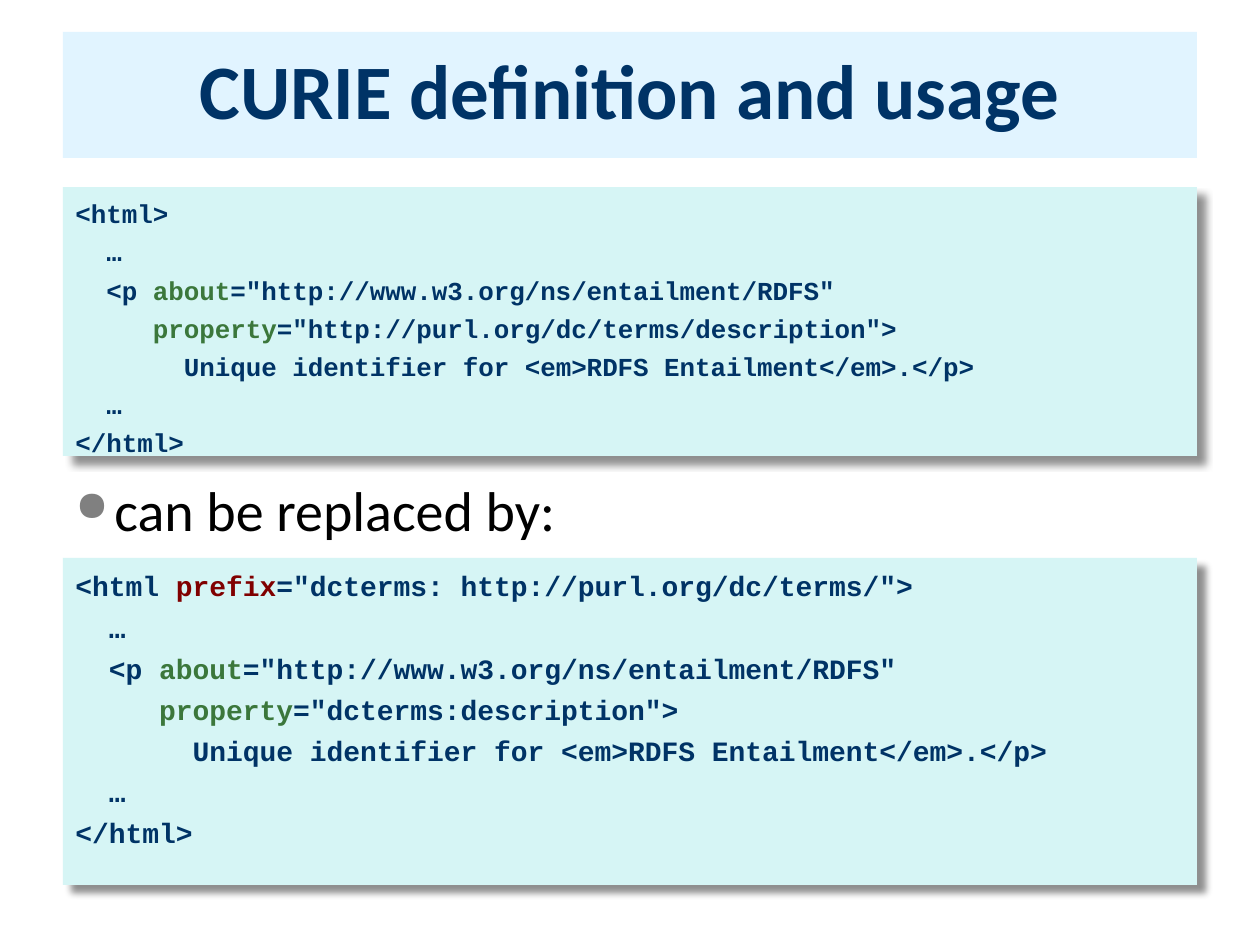
from lxml.etree import SubElement
from pptx import Presentation
from pptx.dml.color import RGBColor
from pptx.enum.shapes import MSO_SHAPE
from pptx.enum.text import MSO_ANCHOR, PP_ALIGN
from pptx.oxml.ns import qn
from pptx.util import Emu, Pt

SCALE = 914400 / 126
HUES = {
    "text": "000000", "navy": "003366", "sky": "E1F4FF", "mint": "D6F5F5",
    "bullet": "808080", "shadow": "000000",
    "about": "3B773B", "property": "3B773B", "prefix": "800000",
}
WORDS = ("about", "property", "prefix")


def px(num):
    return Emu(round(num * SCALE))


def paint(font, face, size, hue, bold=False):
    font.name = face
    font.size = Pt(size)
    font.bold = bold
    font.color.rgb = RGBColor.from_string(HUES[hue])


def panel(slide, box, hue):
    shape = slide.shapes.add_shape(MSO_SHAPE.RECTANGLE, *map(px, box))
    shape.shadow.inherit = False
    shape.fill.solid()
    shape.fill.fore_color.rgb = RGBColor.from_string(HUES[hue])
    shape.line.fill.background()
    return shape


def shade(shape):
    effects = shape.element.spPr.find(qn("a:effectLst"))
    outer = SubElement(effects, qn("a:outerShdw"), blurRad=str(Pt(4)),
                       dist=str(Pt(7)), dir="2700000", algn="tl", rotWithShape="0")
    color = SubElement(outer, qn("a:srgbClr"), val=HUES["shadow"])
    SubElement(color, qn("a:alpha"), val="43000")


def title(slide, box, text):
    frame = panel(slide, box, "sky").text_frame
    frame.word_wrap = True
    frame.vertical_anchor = MSO_ANCHOR.MIDDLE
    frame.text = text
    para = frame.paragraphs[0]
    para.alignment = PP_ALIGN.CENTER
    para.line_spacing = 0.9
    paint(para.runs[0].font, "Calibri", 44, "navy", True)


def split(line):
    for word in WORDS:
        if word + "=" in line:
            head, _, tail = line.partition(word)
            return [(head, "navy"), (word, word), (tail, "navy")]
    return [(line, "navy")]


def code(slide, box, lines, size, gap):
    shape = panel(slide, box, "mint")
    shade(shape)
    frame = shape.text_frame
    frame.word_wrap = False
    frame.vertical_anchor = MSO_ANCHOR.TOP
    frame.margin_top = px(11)
    for num, line in enumerate(lines):
        para = frame.add_paragraph() if num else frame.paragraphs[0]
        para.alignment = PP_ALIGN.LEFT
        para.space_before = Pt(gap if num else 0)
        for text, hue in split(line):
            run = para.add_run()
            run.text = text
            paint(run.font, "Courier New", size, hue, True)


def bullet(slide, box, text):
    frame = slide.shapes.add_textbox(*map(px, box)).text_frame
    frame.word_wrap = True
    frame.text = text
    para = frame.paragraphs[0]
    props = para._p.get_or_add_pPr()
    props.set("marL", str(px(39)))
    props.set("indent", str(px(-39)))
    color = SubElement(props, qn("a:buClr"))
    SubElement(color, qn("a:srgbClr"), val=HUES["bullet"])
    SubElement(props, qn("a:buSzPct"), val="75000")
    SubElement(props, qn("a:buChar"), char="●")
    paint(para.runs[0].font, "Calibri", 32, "text")


def markup(start, term):
    return [
        start,
        "  …",
        '  <p about="http://www.w3.org/ns/entailment/RDFS"',
        f'     property="{term}">',
        "       Unique identifier for <em>RDFS Entailment</em>.</p>",
        "  …",
        "</html>",
    ]


def main():
    deck = Presentation()
    deck.slide_width, deck.slide_height = px(1260), px(945)
    slide = deck.slides.add_slide(deck.slide_layouts[6])
    left, wide = 63, 1134
    full = markup("<html>", "http://purl.org/dc/terms/description")
    short = markup('<html prefix="dcterms: http://purl.org/dc/terms/">',
                   "dcterms:description")
    title(slide, (left, 32, wide, 126), "CURIE definition and usage")
    code(slide, (left, 187, wide, 269), full, 14.8, 4)
    bullet(slide, (left, 469, wide, 102), "can be replaced by:")
    code(slide, (left, 558, wide, 327), short, 16, 4.3)
    deck.save("out.pptx")


if __name__ == "__main__":
    main()
